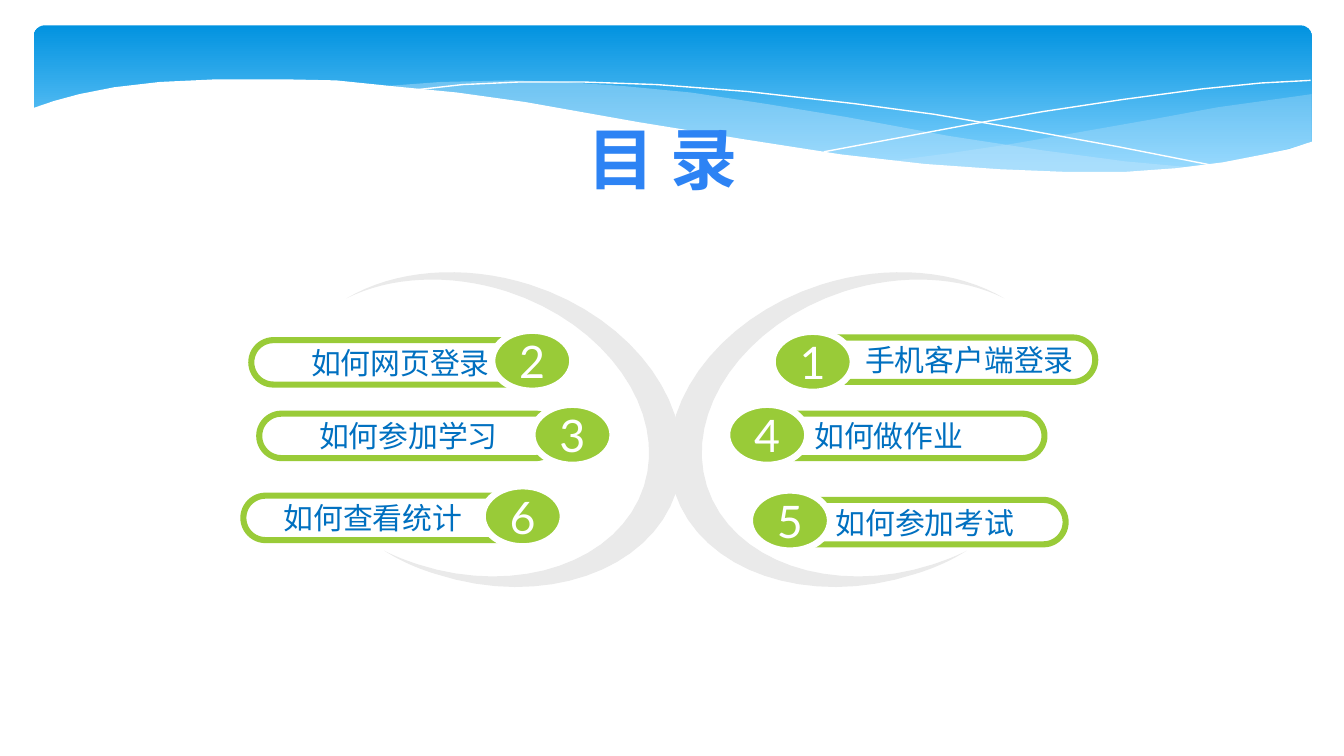
import lxml.etree
import pptx
import pptx.dml.color
import pptx.enum.shapes
import pptx.enum.text
import pptx.oxml.ns
import pptx.util

Cm = pptx.util.Cm
Pt = pptx.util.Pt
RGBColor = pptx.dml.color.RGBColor
Shape = pptx.enum.shapes.MSO_SHAPE
Align = pptx.enum.text.PP_ALIGN
qn = pptx.oxml.ns.qn

WHITE = RGBColor(0xFF, 0xFF, 0xFF)
GREEN = RGBColor(0x99, 0xCB, 0x38)
GREY = RGBColor(0xEA, 0xEA, 0xEA)
PALE_BLUE = RGBColor(0xC6, 0xE7, 0xFC)
BANNER_TOP = RGBColor(0x02, 0x93, 0xE0)
BANNER_BOTTOM = RGBColor(0x83, 0xD3, 0xFE)
TEXT_BLUE = RGBColor(0x00, 0x70, 0xC0)
TITLE_BLUE = RGBColor(0x2D, 0x83, 0xF4)
CHINESE_FONT = "Noto Sans CJK SC"
NUMBER_FONT = "Lato"

presentation = pptx.Presentation()
presentation.slide_width = Cm(25.4)
presentation.slide_height = Cm(14.29)
slide = presentation.slides.add_slide(presentation.slide_layouts[5])
shapes = slide.shapes


def add_outline(points, fill=None, alpha=None):
    corners = [(Cm(x), Cm(y)) for x, y in points]
    builder = shapes.build_freeform(*corners[0])
    builder.add_line_segments(corners[1:], close=fill is not None)
    shape = builder.convert_to_shape()
    shape.shadow.inherit = False
    if fill is None:
        shape.fill.background()
        shape.line.color.rgb = WHITE
        shape.line.width = Pt(0)
        return
    shape.fill.solid()
    shape.fill.fore_color.rgb = fill
    shape.line.fill.background()
    if alpha:
        color = shape.fill._xPr.find(".//" + qn("a:srgbClr"))
        lxml.etree.SubElement(color, qn("a:alpha"), val=str(alpha * 1000))


def write_text(shape, text, size, font, color, alignment=Align.CENTER):
    frame = shape.text_frame
    frame.word_wrap = True
    frame.auto_size = pptx.enum.text.MSO_AUTO_SIZE.NONE
    frame.vertical_anchor = pptx.enum.text.MSO_ANCHOR.MIDDLE
    frame.margin_top = frame.margin_bottom = 0
    paragraph = frame.paragraphs[0]
    paragraph.alignment = alignment
    run = paragraph.add_run()
    run.text = text
    run.font.size = Pt(size)
    run.font.name = font
    run.font.color.rgb = color
    lxml.etree.SubElement(run.font._element, qn("a:ea"), typeface=font)
    return run


banner = shapes.add_shape(Shape.ROUNDED_RECTANGLE, Cm(0.64), Cm(0.48), Cm(24.15), Cm(2.97))
banner.adjustments[0] = 0.07
banner.shadow.inherit = False
banner.line.fill.background()
banner.fill.gradient()
banner.fill.gradient_angle = 270
for stop, position, color in zip(banner.fill.gradient_stops, (0, 0.9), (BANNER_TOP, BANNER_BOTTOM)):
    stop.position = position
    stop.color.rgb = color

right_wave = [
    (24.79, 1.78), (24.08, 1.88), (23.01, 2.03), (21.87, 2.24), (20.45, 2.49),
    (19.13, 2.72), (17.93, 2.9), (16.79, 3.05), (17.91, 3.15), (19.23, 3.25),
    (20.4, 3.28), (21.69, 3.25), (22.78, 3.15), (23.75, 2.97), (24.79, 2.69),
]
middle_wave = [
    (22.68, 3.18), (21.26, 3.05), (19.69, 2.84), (17.93, 2.57), (15.98, 2.21),
    (14.45, 1.96), (13.06, 1.75), (11.81, 1.63), (10.67, 1.55), (9.65, 1.52),
    (8.33, 1.55), (7.26, 1.63), (8.69, 1.78), (10.26, 2.01), (11.4, 2.21),
    (13.46, 2.57), (15.27, 2.84), (16.89, 3.07), (18.34, 3.2), (19.63, 3.28),
    (20.78, 3.3), (21.77, 3.25),
]
falling_line = [
    (7.85, 1.7), (8.74, 1.6), (9.83, 1.55), (11, 1.55), (12.42, 1.6), (14.12, 1.73),
    (16.15, 1.96), (17.65, 2.16), (19.3, 2.44), (21.11, 2.77), (23.04, 3.15),
]
rising_line = [
    (15.57, 2.87), (17.07, 2.59), (18.29, 2.36), (19.71, 2.11), (21.23, 1.88),
    (22.73, 1.68), (23.83, 1.57), (24.77, 1.52),
]
white_wave = [
    (24.82, 2.67), (24.36, 2.82), (23.88, 2.92), (23.11, 3.07), (22.23, 3.18),
    (21.26, 3.25), (20.14, 3.25), (18.9, 3.2), (17.48, 3.1), (15.9, 2.92),
    (14.1, 2.64), (12.07, 2.31), (9.93, 1.93), (8.64, 1.75), (7.42, 1.63),
    (6.35, 1.52), (5.36, 1.5), (4.09, 1.5), (3.02, 1.55), (2.16, 1.65),
    (1.5, 1.78), (1.02, 1.91), (0.58, 2.06), (0.58, 4.27), (24.82, 4.27),
]
add_outline(right_wave, PALE_BLUE, 29)
add_outline(middle_wave, PALE_BLUE, 40)
add_outline(falling_line)
add_outline(rising_line)
add_outline(white_wave, WHITE)

entries = [
    ("1", "手机客户端登录", 15.06, 6.38, 14.6, 6.27, 1.17),
    ("2", "如何网页登录", 4.75, 6.43, 9.3, 6.25, None),
    ("3", "如何参加学习", 4.9, 7.82, 10.06, 7.65, None),
    ("4", "如何做作业", 14.1, 7.82, 13.74, 7.65, 1.17),
    ("5", "如何参加考试", 14.5, 9.45, 14.17, 9.27, 1.17),
    ("6", "如何查看统计", 4.6, 9.37, 9.12, 9.19, 0.64),
]
for number, label, left, top, badge_left, badge_top, indent in entries:
    pill = shapes.add_shape(Shape.ROUNDED_RECTANGLE, Cm(left), Cm(top), Cm(5.64), Cm(0.84))
    pill.adjustments[0] = 0.5
    pill.shadow.inherit = False
    pill.fill.solid()
    pill.fill.fore_color.rgb = WHITE
    pill.line.color.rgb = GREEN
    pill.line.width = Pt(3.25)
    write_text(pill, label, 16, CHINESE_FONT, TEXT_BLUE, Align.LEFT if indent else Align.CENTER)
    if indent:
        pill.text_frame.margin_left = Cm(indent)
        pill.text_frame.margin_right = 0

crescent_start = (10.01, 5.38)
crescent_curves = [
    ((12.01, 6.02), (13.26, 7.77), (12.78, 9.3)),
    ((12.29, 10.8), (10.26, 11.51), (8.23, 10.85)),
    ((7.87, 10.74), (7.54, 10.59), (7.26, 10.41)),
    ((7.47, 10.52), (7.67, 10.59), (7.9, 10.67)),
    ((9.8, 11.28), (11.71, 10.62), (12.17, 9.19)),
    ((12.62, 7.77), (11.46, 6.12), (9.58, 5.51)),
    ((8.48, 5.16), (7.37, 5.23), (6.55, 5.64)),
    ((7.44, 5.11), (8.74, 4.98), crescent_start),
]
crescent = [crescent_start]
for curve in crescent_curves:
    anchors = (crescent[-1], *curve)
    for step in range(1, 17):
        t = step / 16
        weights = ((1 - t) ** 3, 3 * t * (1 - t) ** 2, 3 * t**2 * (1 - t), t**3)
        crescent.append(tuple(
            sum(weight * anchor[axis] for weight, anchor in zip(weights, anchors))
            for axis in (0, 1)
        ))
add_outline(crescent, GREY)
add_outline([(25.53 - x, y) for x, y in crescent], GREY)

for number, label, left, top, badge_left, badge_top, indent in entries:
    badge = shapes.add_shape(Shape.OVAL, Cm(badge_left), Cm(badge_top), Cm(1.52), Cm(1.14))
    badge.shadow.inherit = False
    badge.fill.solid()
    badge.fill.fore_color.rgb = GREEN
    badge.line.color.rgb = WHITE
    badge.line.width = Pt(3.5)
    write_text(badge, number, 24, NUMBER_FONT, WHITE)

title = shapes.title
title.left, title.top, title.width, title.height = Cm(10.26), Cm(2.08), Cm(4.52), Cm(1.8)
write_text(title, "目 录", 36, CHINESE_FONT, TITLE_BLUE).font.bold = True
shapes._spTree.append(title._element)

presentation.save("out.pptx")
